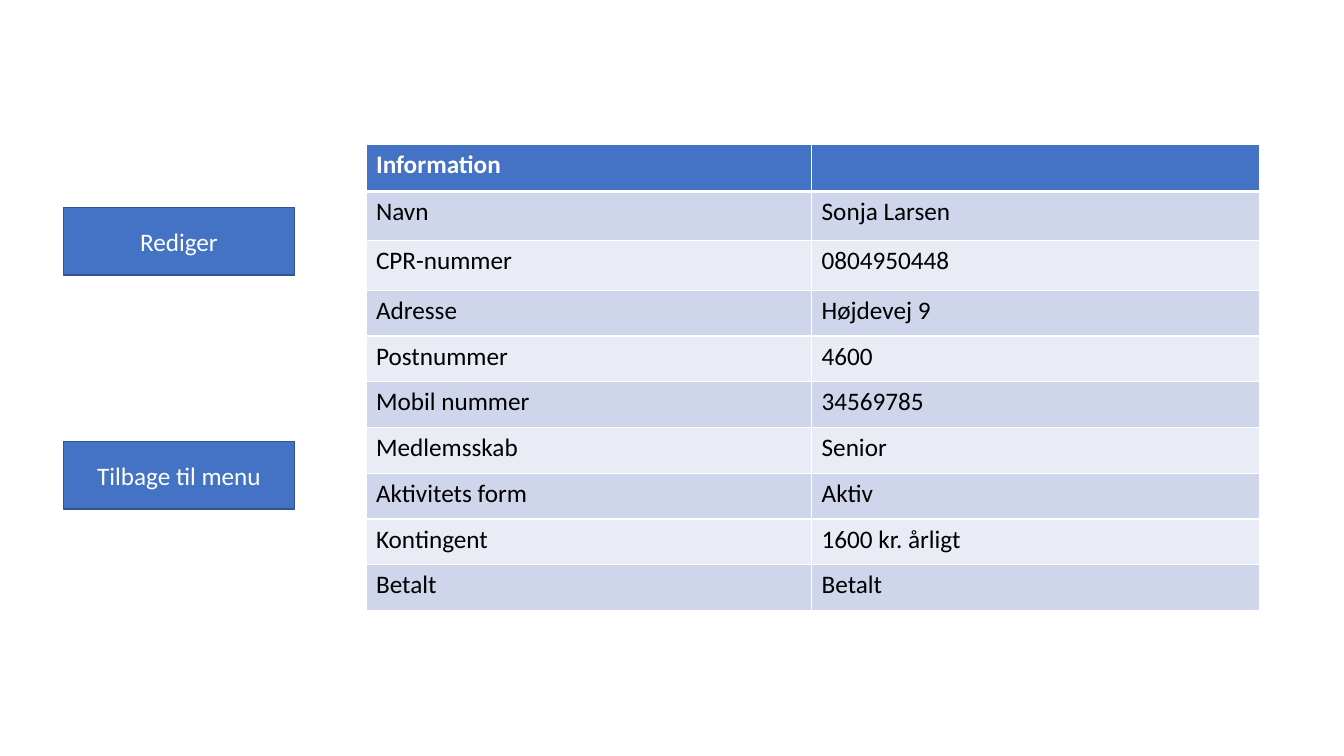
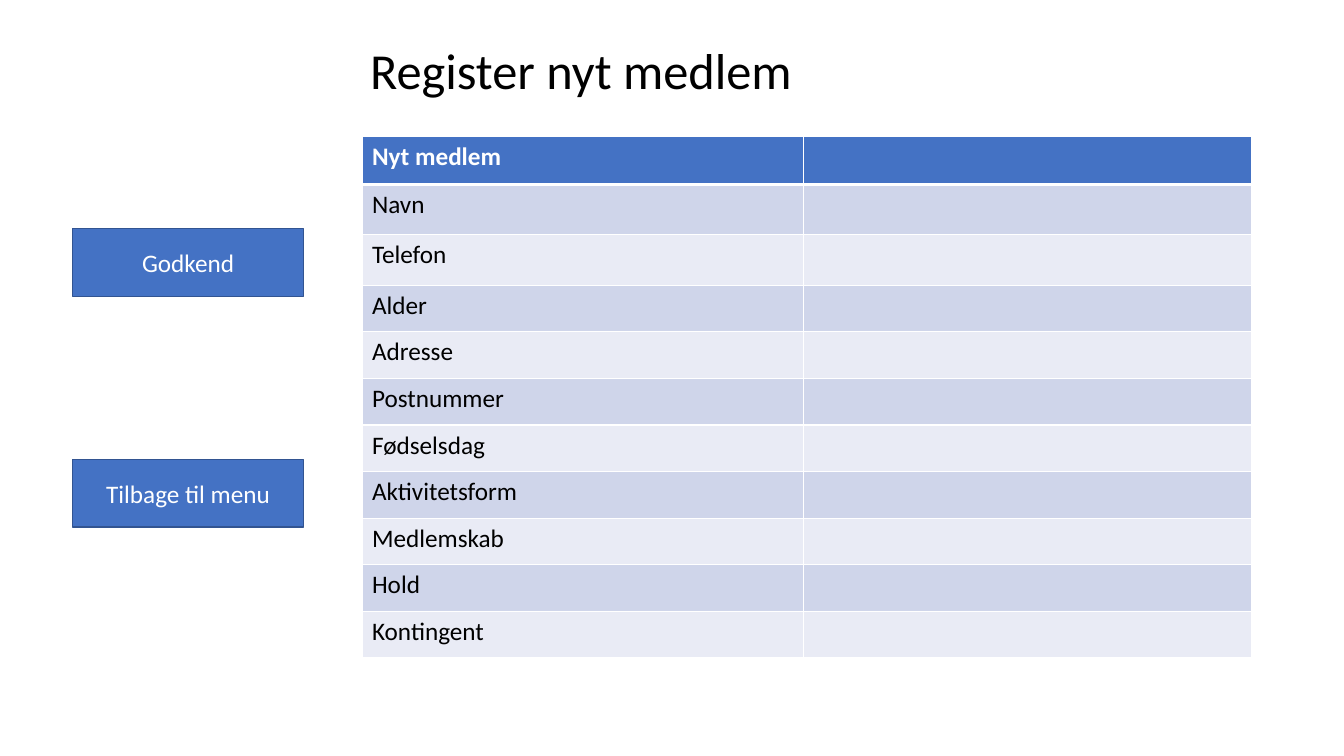
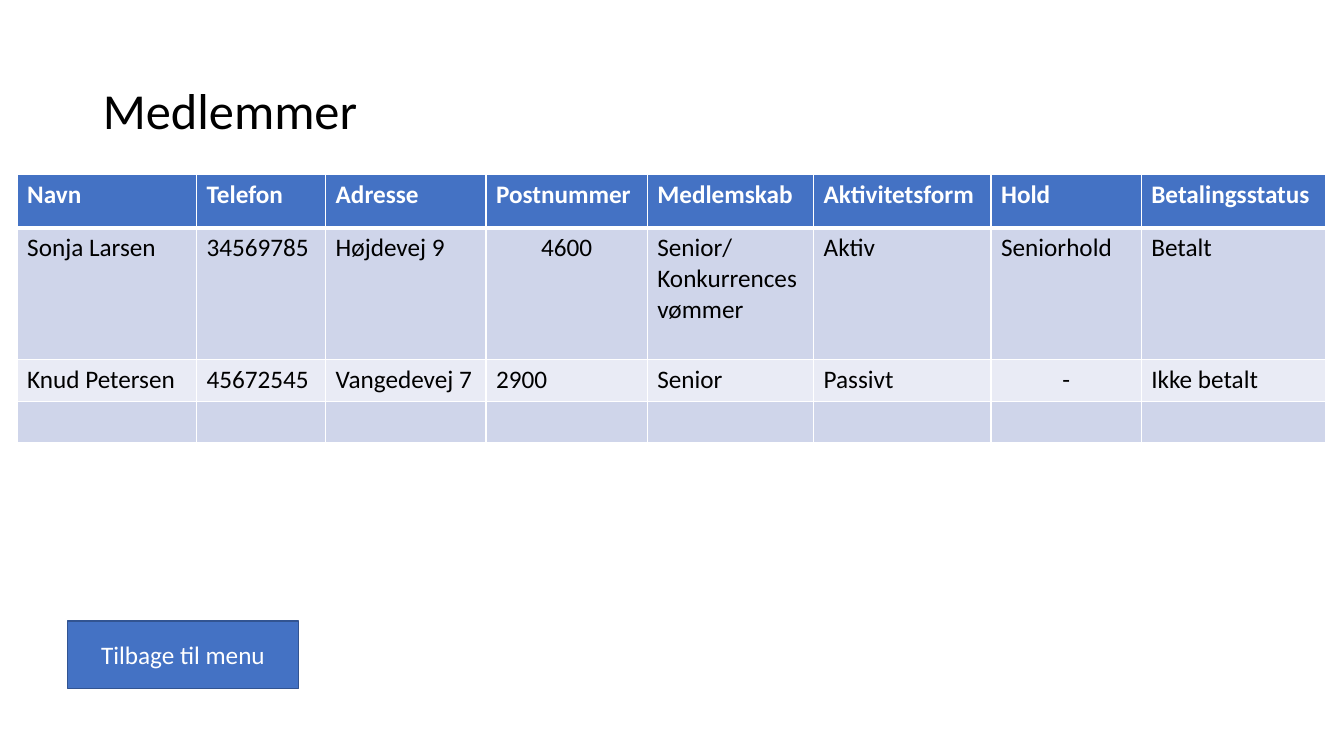
from lxml import etree
from pptx import Presentation
from pptx.dml.color import RGBColor
from pptx.enum.shapes import MSO_SHAPE
from pptx.enum.text import MSO_ANCHOR, PP_ALIGN
from pptx.oxml.ns import qn
from pptx.util import Inches, Pt

# Shared style
FONT = "Calibri"
BLUE, DARK_BLUE = "4472C4", "325491"
BAND_DARK, BAND_LIGHT = "CFD5EA", "E9EBF5"
WHITE, BLACK = "FFFFFF", "000000"
TITLE_SIZE, TEXT_SIZE = 36, 18
THIN, THICK = 1, 3
BUTTON_WIDTH, BUTTON_HEIGHT = 2.29, 0.67
TITLE_WIDTH, TITLE_HEIGHT = 11.5, 1.45

RECTANGLE = MSO_SHAPE.RECTANGLE
MIDDLE = MSO_ANCHOR.MIDDLE
LEFT, CENTER = PP_ALIGN.LEFT, PP_ALIGN.CENTER
TITLE_LAYOUT, BLANK_LAYOUT = 5, 6

# Slide content
INFORMATION_ROWS = [
    ("Information", ""),
    ("Navn", "Sonja Larsen"),
    ("CPR-nummer", "0804950448"),
    ("Adresse", "Højdevej 9"),
    ("Postnummer", "4600"),
    ("Mobil nummer", "34569785"),
    ("Medlemsskab", "Senior"),
    ("Aktivitets form", "Aktiv"),
    ("Kontingent", "1600 kr. årligt"),
    ("Betalt", "Betalt"),
]
NEW_MEMBER_FIELDS = [
    "Nyt medlem", "Navn", "Telefon", "Alder", "Adresse", "Postnummer",
    "Fødselsdag", "Aktivitetsform", "Medlemskab", "Hold", "Kontingent",
]
MEMBER_ROWS = [
    ("Navn", "Telefon", "Adresse", "Postnummer", "Medlemskab",
     "Aktivitetsform", "Hold", "Betalingsstatus"),
    ("Sonja Larsen", "34569785", "Højdevej 9", "4600",
     "Senior/ Konkurrencesvømmer", "Aktiv", "Seniorhold", "Betalt"),
    ("Knud Petersen", "45672545", "Vangedevej 7", "2900",
     "Senior", "Passivt", "-", "Ikke betalt"),
    ("",) * 8,
]
BACK_LABEL = "Tilbage til menu"


def color(hex_value):
    return RGBColor.from_string(hex_value)


def write(paragraph, text, size, text_color, bold=False, alignment=LEFT):
    paragraph.alignment = alignment
    run = paragraph.add_run()
    run.text = text
    run.font.name = FONT
    run.font.size = Pt(size)
    run.font.bold = bold
    run.font.color.rgb = color(text_color)


def add_slide(presentation, layout):
    return presentation.slides.add_slide(presentation.slide_layouts[layout])


def add_title(slide, text, left, top):
    title = slide.shapes.title
    title.left, title.top = Inches(left), Inches(top)
    title.width, title.height = Inches(TITLE_WIDTH), Inches(TITLE_HEIGHT)
    title.text_frame.vertical_anchor = MIDDLE
    paragraph = title.text_frame.paragraphs[0]
    paragraph.line_spacing = 0.9
    write(paragraph, text, TITLE_SIZE, BLACK)


def add_button(slide, text, left, top):
    button = slide.shapes.add_shape(
        RECTANGLE, Inches(left), Inches(top),
        Inches(BUTTON_WIDTH), Inches(BUTTON_HEIGHT))
    button.shadow.inherit = False
    button.fill.solid()
    button.fill.fore_color.rgb = color(BLUE)
    button.line.color.rgb = color(DARK_BLUE)
    button.line.width = Pt(1)
    button.text_frame.word_wrap = True
    button.text_frame.vertical_anchor = MIDDLE
    write(button.text_frame.paragraphs[0], text, TEXT_SIZE, WHITE,
          alignment=CENTER)


def set_borders(cell, top, bottom):
    properties = cell._tc.get_or_add_tcPr()
    widths = {"a:lnL": THIN, "a:lnR": THIN, "a:lnT": top, "a:lnB": bottom}
    for tag, width in widths.items():
        line = etree.SubElement(properties, qn(tag), w=str(Pt(width)))
        fill = etree.SubElement(line, qn("a:solidFill"))
        etree.SubElement(fill, qn("a:srgbClr"), val=WHITE)


def style_cell(cell, row):
    # The thick rule lies between the header and the first body row
    set_borders(cell, THICK if row == 1 else THIN, THICK if row == 0 else THIN)
    cell.fill.solid()
    band = BAND_DARK if row % 2 else BAND_LIGHT
    cell.fill.fore_color.rgb = color(BLUE if row == 0 else band)


def add_table(slide, rows, left, top, widths, heights, centered=()):
    table = slide.shapes.add_table(
        len(rows), len(widths), Inches(left), Inches(top),
        Inches(sum(widths)), Inches(sum(heights))).table
    for column, width in zip(table.columns, widths):
        column.width = Inches(width)
    for row, (texts, height) in enumerate(zip(rows, heights)):
        table.rows[row].height = Inches(height)
        for column, text in enumerate(texts):
            cell = table.cell(row, column)
            style_cell(cell, row)
            if text:
                write(cell.text_frame.paragraphs[0], text, TEXT_SIZE,
                      BLACK if row else WHITE, bold=row == 0,
                      alignment=CENTER if (row, column) in centered else LEFT)


def form_heights(total, first_heights, row_count):
    """Share the height left below the first rows equally."""
    remaining = row_count - len(first_heights)
    return first_heights + [(total - sum(first_heights)) / remaining] * remaining


def build_information(presentation):
    slide = add_slide(presentation, BLANK_LAYOUT)
    heights = form_heights(4.63, [0.47, 0.49, 0.49], len(INFORMATION_ROWS))
    add_table(slide, INFORMATION_ROWS, 3.63, 1.43, [4.42, 4.44], heights)
    add_button(slide, "Rediger", 0.63, 2.06)
    add_button(slide, BACK_LABEL, 0.63, 4.38)


def build_registration(presentation):
    slide = add_slide(presentation, TITLE_LAYOUT)
    add_title(slide, "Register nyt medlem", 3.57, 0)
    rows = [(field, "") for field in NEW_MEMBER_FIELDS]
    heights = form_heights(5.18, [0.48, 0.5, 0.5], len(rows))
    add_table(slide, rows, 3.59, 1.35, [4.38, 4.44], heights)
    add_button(slide, BACK_LABEL, 0.72, 4.56)
    add_button(slide, "Godkend", 0.72, 2.27)


def build_members(presentation):
    slide = add_slide(presentation, TITLE_LAYOUT)
    add_title(slide, "Medlemmer", 0.92, 0.4)
    widths = [1.78, 1.28, 1.59, 1.6, 1.65, 1.76, 1.49, 1.83]
    add_table(slide, MEMBER_ROWS, 0.17, 1.73, widths,
              [0.53, 1.31, 0.41, 0.41], centered={(1, 3), (2, 6)})
    add_button(slide, BACK_LABEL, 0.67, 6.16)


def main():
    presentation = Presentation()
    presentation.slide_width = Inches(13.33)
    presentation.slide_height = Inches(7.5)
    build_information(presentation)
    build_registration(presentation)
    build_members(presentation)
    presentation.save("out.pptx")


main()
